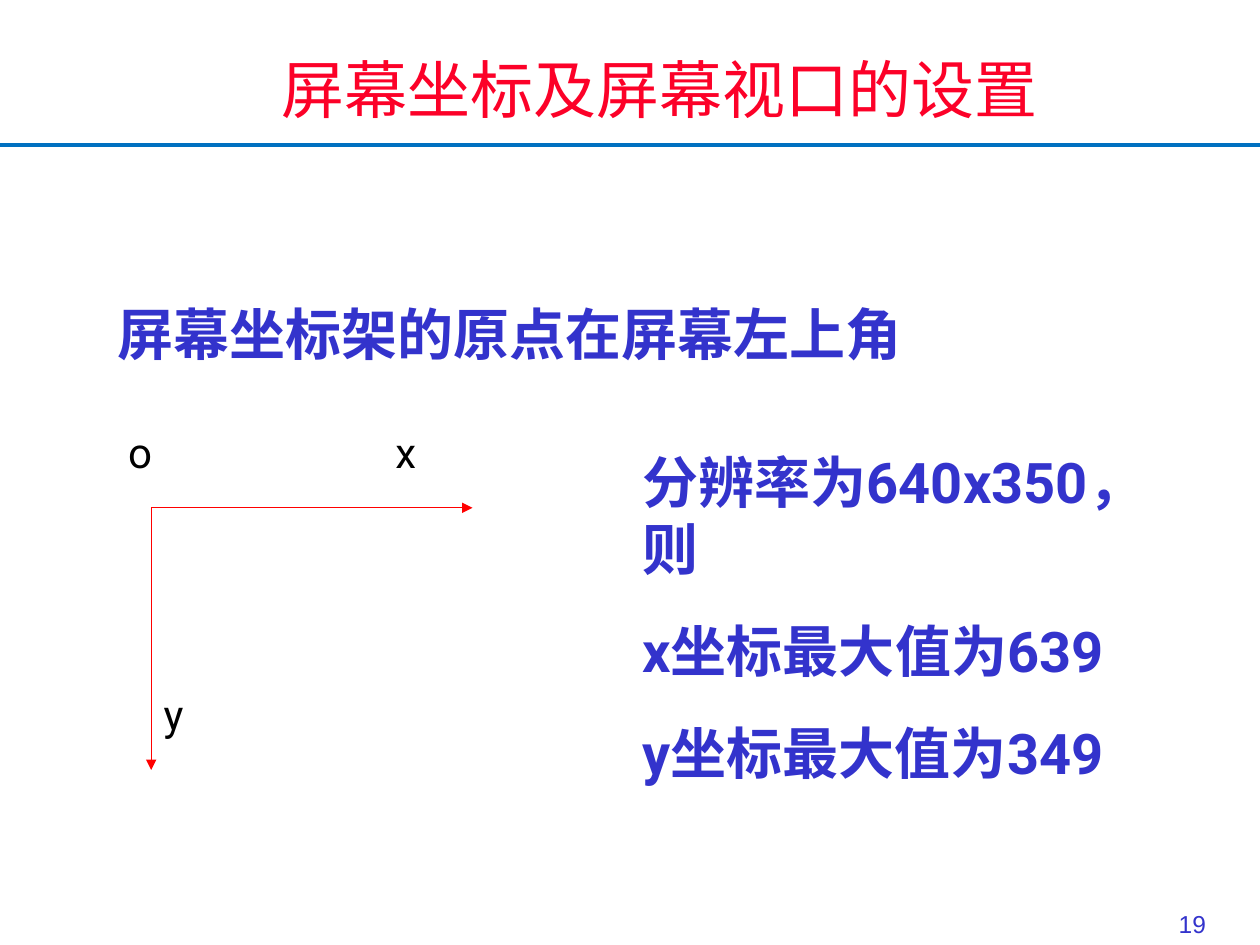
from lxml import etree
from pptx import Presentation
from pptx.dml.color import RGBColor
from pptx.enum.shapes import MSO_CONNECTOR
from pptx.enum.text import MSO_ANCHOR, PP_ALIGN
from pptx.oxml.ns import qn
from pptx.util import Pt

STRAIGHT = MSO_CONNECTOR.STRAIGHT
TOP, MIDDLE, BOTTOM = MSO_ANCHOR.TOP, MSO_ANCHOR.MIDDLE, MSO_ANCHOR.BOTTOM
LEFT, CENTER, RIGHT = PP_ALIGN.LEFT, PP_ALIGN.CENTER, PP_ALIGN.RIGHT

WHITE = RGBColor(0xFF, 0xFF, 0xFF)
BLACK = RGBColor(0x00, 0x00, 0x00)
BLUE = RGBColor(0x33, 0x33, 0xCC)
RULE_BLUE = RGBColor(0x00, 0x70, 0xC0)
TITLE_RED = RGBColor(0xFC, 0x01, 0x28)
AXIS_RED = RGBColor(0xFF, 0x00, 0x00)

prs = Presentation()
prs.slide_width, prs.slide_height = Pt(720), Pt(540)
s = prs.slides.add_slide(prs.slide_layouts[6])


def add_text(text, x, y, w, h, size=32, font="Roboto", color=BLUE, bold=False,
             align=LEFT, anchor=TOP, gap=0, fill=None):
    """Add a text box with one paragraph per line of text, gap points apart."""
    sp = s.shapes.add_textbox(Pt(x), Pt(y), Pt(w), Pt(h))
    if fill is not None:
        sp.fill.solid()
        sp.fill.fore_color.rgb = fill
    tf = sp.text_frame
    tf.word_wrap = True
    tf.vertical_anchor = anchor
    for i, line in enumerate(text.split("\n")):
        p = tf.paragraphs[0] if i == 0 else tf.add_paragraph()
        p.alignment = align
        if i:
            p.space_before = Pt(gap)
        r = p.add_run()
        r.text = line
        r.font.size = Pt(size)
        r.font.name = font
        r.font.bold = bold
        r.font.color.rgb = color
        etree.SubElement(r.font._element, qn("a:ea"), typeface=font)


def add_line(x1, y1, x2, y2, color, width, arrow=False):
    c = s.shapes.add_connector(STRAIGHT, Pt(x1), Pt(y1), Pt(x2), Pt(y2))
    c.line.color.rgb = color
    c.line.width = Pt(width)
    if arrow:
        etree.SubElement(c.line._get_or_add_ln(), qn("a:tailEnd"), type="triangle")
    etree.SubElement(c._element.spPr, qn("a:effectLst"))


# Header and page number
add_line(0, 82.8, 720, 82.8, RULE_BLUE, 2)
add_text("19", 658, 504, 38.2, 36, size=14, font="Arial", align=RIGHT, anchor=BOTTOM)
add_text("屏幕坐标及屏幕视口的设置", 104.4, 25.9, 545, 49, size=36,
         font="Noto Sans CJK SC", color=TITLE_RED, align=CENTER, anchor=MIDDLE, fill=WHITE)

# Statements
add_text("屏幕坐标架的原点在屏幕左上角", 59.8, 167.8, 528, 46, bold=True)
add_text("分辨率为640x350，则\nx坐标最大值为639\ny坐标最大值为349",
         360, 252, 312, 201, bold=True, gap=20)

# Screen axes, both starting at the origin
ORIGIN_X, ORIGIN_Y = 86.4, 290.2
for end_x, end_y in [(ORIGIN_X, 440), (270, ORIGIN_Y)]:
    add_line(ORIGIN_X, ORIGIN_Y, end_x, end_y, AXIS_RED, 0.75, arrow=True)
for name, x, y in [("o", 66.2, 240), ("x", 218.9, 240), ("y", ORIGIN_X, 390)]:
    add_text(name, x, y, 41, 36, size=24, color=BLACK)

prs.save("out.pptx")
